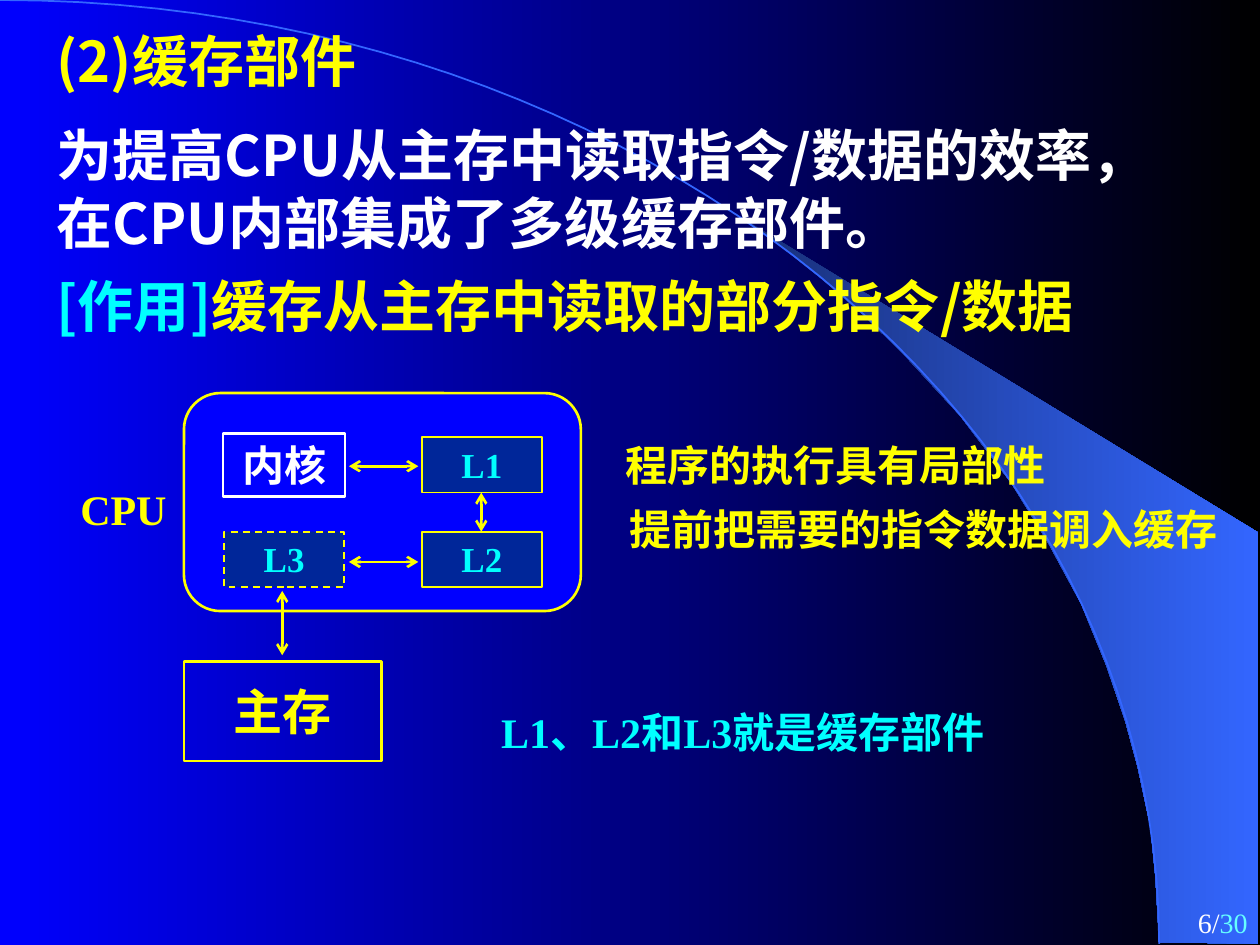
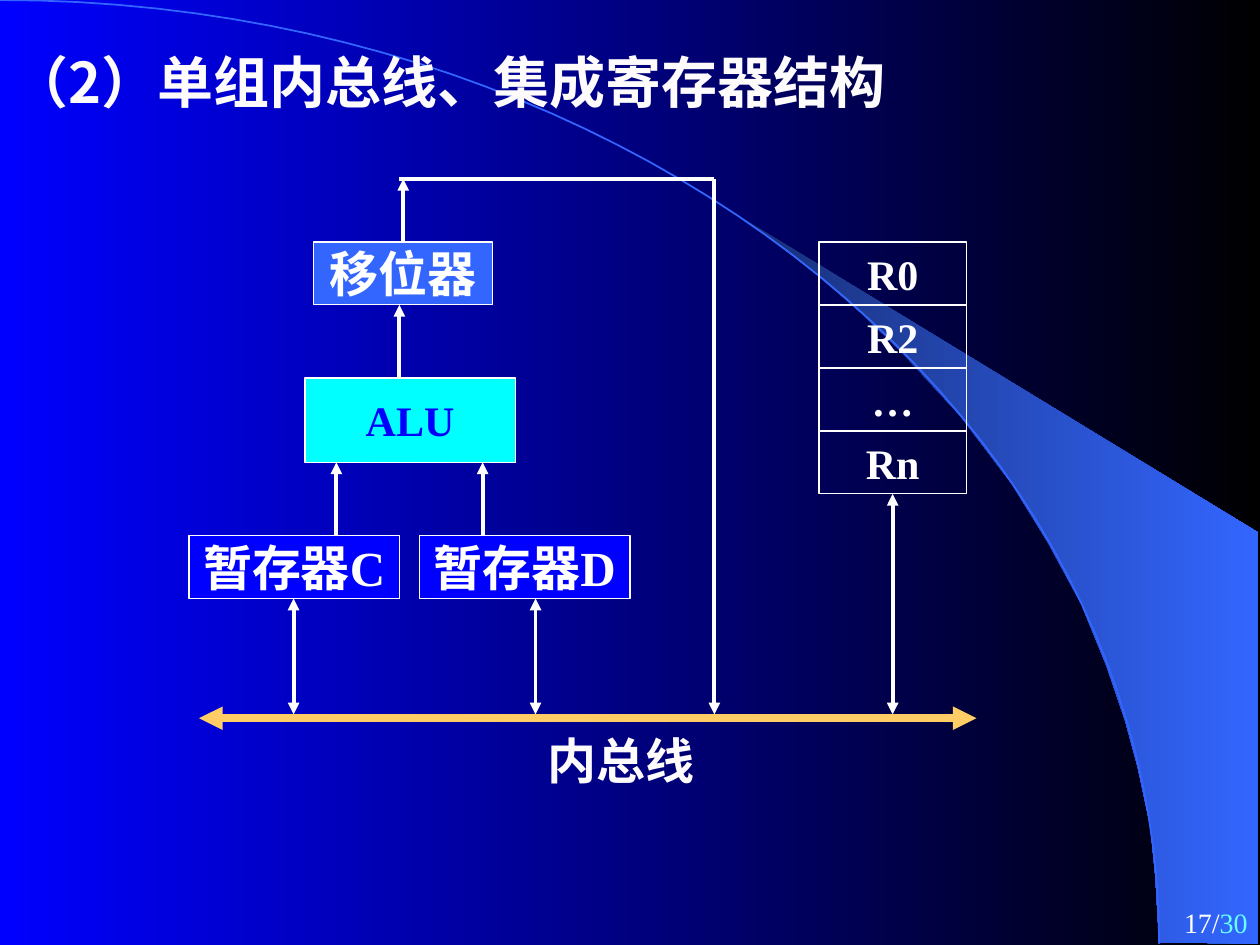
from lxml.etree import SubElement
from pptx import Presentation
from pptx.dml.color import RGBColor
from pptx.enum.dml import MSO_LINE
from pptx.enum.shapes import MSO_CONNECTOR, MSO_SHAPE
from pptx.enum.text import MSO_ANCHOR, MSO_AUTO_SIZE, PP_ALIGN
from pptx.oxml.ns import qn
from pptx.util import Inches, Pt

COLORS = {
    "blue": "0000FF", "black": "000000", "white": "FFFFFF", "soft_white": "FDFBFB",
    "yellow": "FFFF00", "cyan": "00FFFF", "pale_cyan": "66FFFF", "navy": "002699",
    "accent": "3366FF", "deep": "182F76", "gold": "FFCC66",
}
HEADING_FONT = "Noto Sans CJK SC"
LABEL_FONT = "Times New Roman"
PAGE_TOTAL = 30
WEDGE = [
    (9.2, 7.48), (9.99, 7.49), (9.99, 4.23), (5.89, 1.73), (6.24, 1.99), (6.53, 2.22),
    (6.85, 2.5), (7.16, 2.8), (7.62, 3.3), (8.03, 3.84), (8.32, 4.31), (8.58, 4.79),
    (8.78, 5.28), (8.93, 5.72), (9.03, 6.09), (9.13, 6.56), (9.17, 6.96),
]
ARC = [(0, 0), (5.08, 0), (9.2, 3.35), (9.2, 7.49)]


def rgb(name):
    return RGBColor.from_string(COLORS[name])


def write(para, parts, size=24, font=LABEL_FONT, bold=True, align=PP_ALIGN.LEFT, after=0):
    props = para._p.get_or_add_pPr()
    props.set("marL", "0")
    props.set("indent", "0")
    SubElement(props, qn("a:buNone"))
    para.alignment = align
    para.space_before = Pt(0)
    para.space_after = Pt(after)
    for text, color in parts:
        span = para.add_run()
        span.text = text
        span.font.size = Pt(size)
        span.font.bold = bold
        span.font.name = font
        span.font.color.rgb = rgb(color)
        SubElement(span._r.get_or_add_rPr(), qn("a:ea"), typeface=HEADING_FONT)


def prepare(frame, anchor=MSO_ANCHOR.TOP, wrap=True):
    frame.auto_size = MSO_AUTO_SIZE.NONE
    frame.vertical_anchor = anchor
    frame.word_wrap = wrap
    return frame.paragraphs[0]


def place(shape, left, top, width, height):
    shape.left, shape.top = Inches(left), Inches(top)
    shape.width, shape.height = Inches(width), Inches(height)


def add_label(page, left, top, width, height, parts, wrap=True, **style):
    box = page.shapes.add_textbox(Inches(left), Inches(top), Inches(width), Inches(height))
    write(prepare(box.text_frame, wrap=wrap), parts, **style)


def add_block(page, left, top, width, height, text=None, color="white", fill=None,
              line="white", weight=0.75, dash=None, size=24, anchor=MSO_ANCHOR.MIDDLE,
              kind=MSO_SHAPE.RECTANGLE):
    block = page.shapes.add_shape(
        kind, Inches(left), Inches(top), Inches(width), Inches(height))
    block.shadow.inherit = False
    if fill:
        block.fill.solid()
        block.fill.fore_color.rgb = rgb(fill)
    else:
        block.fill.background()
    block.line.color.rgb = rgb(line)
    block.line.width = Pt(weight)
    if dash:
        block.line.dash_style = dash
    if text:
        write(prepare(block.text_frame, anchor, wrap=False), [(text, color)],
              size=size, align=PP_ALIGN.CENTER)
    return block


def add_line(page, start, end, color="white", weight=2.25, head=None, tail=None):
    ends = [Inches(value) for value in (*start, *end)]
    line = page.shapes.add_connector(MSO_CONNECTOR.STRAIGHT, *ends)
    line.line.color.rgb = rgb(color)
    line.line.width = Pt(weight)
    outline = line.line._get_or_add_ln()
    for tag, arrow in (("a:headEnd", head), ("a:tailEnd", tail)):
        if arrow:
            SubElement(outline, qn(tag), type=arrow)
    SubElement(line._element.spPr, qn("a:effectLst"))


def set_gradient(fill, first, last):
    fill.gradient()
    fill.gradient_angle = 0
    for stop, color, position in zip(fill.gradient_stops, (first, last), (0, 1)):
        stop.color.rgb = rgb(color)
        stop.position = position


def curve_points(controls, steps=48):
    for step in range(steps + 1):
        t = step / steps
        weights = ((1 - t) ** 3, 3 * t * (1 - t) ** 2, 3 * t * t * (1 - t), t ** 3)
        yield tuple(sum(w * point[axis] for w, point in zip(weights, controls))
                    for axis in (0, 1))


def add_outline(page, points, close):
    points = [(Inches(x), Inches(y)) for x, y in points]
    builder = page.shapes.build_freeform(*points[0])
    builder.add_line_segments(points[1:], close=close)
    outline = builder.convert_to_shape()
    outline.shadow.inherit = False
    return outline


def decorate_master(deck, page):
    master = deck.slide_master
    set_gradient(master.background.fill, "blue", "black")
    wedge = add_outline(page, WEDGE, close=True)
    set_gradient(wedge.fill, "deep", "accent")
    wedge.line.fill.background()
    arc = add_outline(page, curve_points(ARC), close=False)
    arc.fill.background()
    arc.line.color.rgb = rgb("accent")
    arc.line.width = Pt(1)
    for number, shape in enumerate((wedge, arc)):
        shape._element.nvSpPr.cNvPr.set("id", str(101 + number))
        master.shapes._spTree.insert(2 + number, shape._element)


def add_title(page, left, top, width, text, color):
    place(page.shapes.title, left, top, width, 0.64)
    write(prepare(page.shapes.title.text_frame), [(text, color)], size=32, font=HEADING_FONT)


def add_page_number(page, number):
    add_label(page, 7.92, 7.14, 2.08, 0.36,
              [(f"{number}/", "white"), (str(PAGE_TOTAL), "pale_cyan")],
              size=16, bold=False, align=PP_ALIGN.RIGHT)


def add_body(page, left, top, width, height, paragraphs):
    body = page.placeholders[1]
    place(body, left, top, width, height)
    para = prepare(body.text_frame)
    for index, parts in enumerate(paragraphs):
        if index:
            para = body.text_frame.add_paragraph()
        write(para, parts, size=32, font=HEADING_FONT, after=9)


def draw_cpu(page, left, top):
    package_box = add_block(page, left, top, 3.15, 1.73, fill="blue", line="yellow",
                            weight=1.5, kind=MSO_SHAPE.ROUNDED_RECTANGLE)
    package_box.adjustments[0] = 0.167
    add_label(page, left - 0.95, top + 0.67, 0.94, 0.5, [("CPU", "yellow")],
              align=PP_ALIGN.CENTER)
    add_block(page, left + 0.31, top + 0.32, 0.97, 0.5, "内核", fill="blue",
              weight=1.5, anchor=MSO_ANCHOR.TOP)
    for name, x, y, dash in (("L1", 1.89, 0.35, None), ("L2", 1.89, 1.1, None),
                             ("L3", 0.32, 1.1, MSO_LINE.DASH)):
        add_block(page, left + x, top + y, 0.95, 0.44, name, color="cyan", fill="navy",
                  line="yellow", weight=1, dash=dash, size=20, anchor=MSO_ANCHOR.TOP)
    for x1, y1, x2, y2 in ((1.31, 0.58, 1.86, 0.58), (2.36, 0.79, 2.36, 1.1),
                           (1.31, 1.34, 1.86, 1.34), (0.78, 1.57, 0.78, 2.08)):
        add_line(page, (left + x1, top + y1), (left + x2, top + y2), color="yellow",
                 weight=1.5, head="arrow", tail="arrow")
    add_block(page, left, top + 2.13, 1.57, 0.79, "主存", color="yellow", line="yellow",
              weight=1.5, size=28)


def draw_datapath(page, left, top):
    add_block(page, left + 0.99, top + 0.5, 1.42, 0.5, "移位器", fill="accent", size=28)
    add_block(page, left + 0.92, top + 1.58, 1.67, 0.67, "ALU", color="blue", fill="cyan")
    for name, x in (("暂存器C", 0), ("暂存器D", 1.83)):
        add_block(page, left + x, top + 2.83, 1.67, 0.5, name, fill="blue", size=28)
    for x, start, end in ((1.67, 1.58, 1), (1.7, 0.5, 0), (1.17, 2.83, 2.25),
                          (2.33, 2.83, 2.25), (4.17, 0, 4.25)):
        add_line(page, (left + x, top + start), (left + x, top + end), tail="triangle")
    add_line(page, (left + 1.67, top), (left + 4.17, top))
    for x in (0.83, 2.75):
        add_line(page, (left + x, top + 4.25), (left + x, top + 3.33),
                 head="triangle", tail="triangle")


def draw_registers(page, left, top, width, row_height, bus_top):
    names = ("R0", "R2", "…", "Rn")
    for row, name in enumerate(names):
        add_block(page, left, top + row * row_height, width, row_height, name)
    center = left + width / 2
    add_line(page, (center, top + len(names) * row_height), (center, bus_top),
             head="triangle", tail="triangle")


def draw_bus(page, left, top, width):
    add_line(page, (left, top), (left + width, top), color="gold", weight=4.5,
             head="triangle", tail="triangle")
    add_label(page, left + 2.67, top + 0.05, 1.42, 0.57, [("内总线", "soft_white")], size=28)


def build_cache_page(page):
    add_title(page, 0.35, 0.16, 3.94, "(2)缓存部件", "yellow")
    add_body(page, 0.35, 0.91, 9.13, 1.84, [
        [("为提高CPU从主存中读取指令/数据的效率，在CPU内部集成了多级缓存部件。", "white")],
        [("[作用]", "cyan"), ("缓存从主存中读取的部分指令/数据", "yellow")],
    ])
    draw_cpu(page, 1.46, 3.12)
    for left, top, width, text, color in (
            (3.88, 5.56, 4.43, "L1、L2和L3就是缓存部件", "cyan"),
            (4.87, 3.44, 3.53, "程序的执行具有局部性", "yellow"),
            (4.9, 3.95, 4.86, "提前把需要的指令数据调入缓存", "yellow")):
        add_label(page, left, top, width, 0.5, [(text, color)], wrap=False)
    add_page_number(page, 6)


def build_bus_page(page):
    add_title(page, 0, 0.33, 9.08, "（2）单组内总线、集成寄存器结构", "soft_white")
    draw_datapath(page, 1.5, 1.42)
    draw_registers(page, 6.5, 1.92, 1.17, 0.5, 5.67)
    draw_bus(page, 1.58, 5.7, 6.17)
    add_page_number(page, 17)


def main():
    deck = Presentation()
    deck.slide_width, deck.slide_height = Inches(10), Inches(7.5)
    cache_page = deck.slides.add_slide(deck.slide_layouts[1])
    bus_page = deck.slides.add_slide(deck.slide_layouts[5])
    decorate_master(deck, cache_page)
    build_cache_page(cache_page)
    build_bus_page(bus_page)
    deck.save("out.pptx")


if __name__ == "__main__":
    main()
